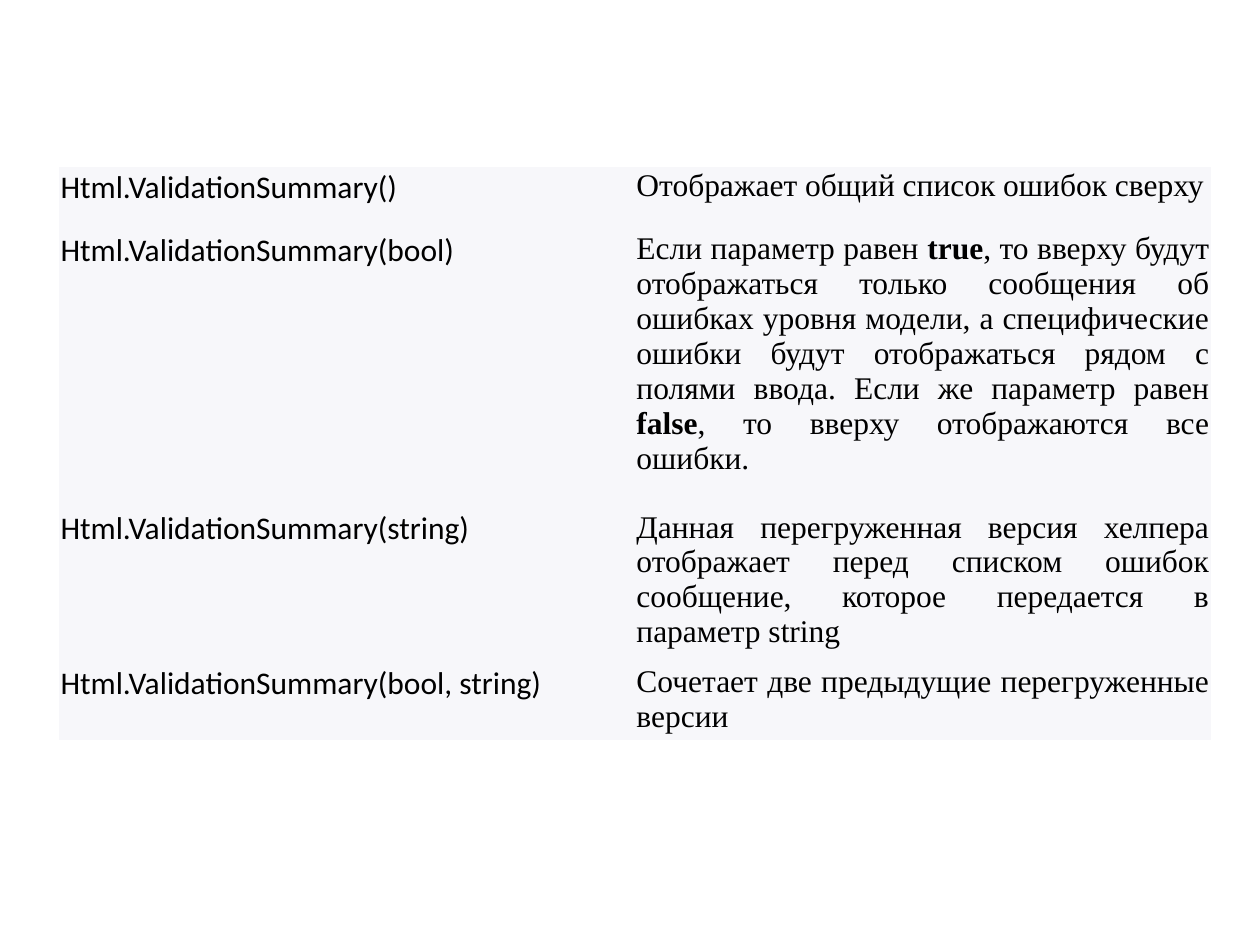
from pptx import Presentation
from pptx.dml.color import RGBColor
from pptx.enum.text import PP_ALIGN
from pptx.oxml.ns import qn
from pptx.util import Cm, Pt

LEFT, JUSTIFY = PP_ALIGN.LEFT, PP_ALIGN.JUSTIFY
NO_STYLE_NO_GRID = "{2D5ABB26-0587-4C30-8999-92F81FD0307C}"
CELL_MARGIN = Cm(0.03)

OVERLOADS = [
    (1.27, "Html.ValidationSummary()",
     [("Отображает общий список ошибок сверху", False)]),
    (5.61, "Html.ValidationSummary(bool)",
     [("Если параметр равен ", False),
      ("true", True),
      (", то вверху будут отображаться только сообщения об ошибках уровня "
       "модели, а специфические ошибки будут отображаться рядом с полями "
       "ввода. Если же параметр равен ", False),
      ("false", True),
      (", то вверху отображаются все ошибки.", False)]),
    (3.12, "Html.ValidationSummary(string)",
     [("Данная перегруженная версия хелпера отображает перед списком ошибок "
       "сообщение, которое передается в параметр string", False)]),
    (1.55, "Html.ValidationSummary(bool, string)",
     [("Сочетает две предыдущие перегруженные версии", False)]),
]


def color(value):
    return RGBColor.from_string(value)


def fill_cell(cell, runs, font_name, alignment):
    cell.margin_left = cell.margin_right = CELL_MARGIN
    cell.margin_top = cell.margin_bottom = CELL_MARGIN
    cell.fill.solid()
    cell.fill.fore_color.rgb = color("F7F7FA")
    paragraph = cell.text_frame.paragraphs[0]
    paragraph.alignment = alignment
    for words, bold in runs:
        run = paragraph.add_run()
        run.text = words
        run.font.name = font_name
        run.font.size = Pt(18)
        run.font.bold = bold
        run.font.color.rgb = color("000000")


def add_overload_table(slide, left, top, width):
    height = sum(row_height for row_height, _, _ in OVERLOADS)
    table = slide.shapes.add_table(
        len(OVERLOADS), 2, Cm(left), Cm(top), Cm(width), Cm(height)).table
    table.first_row = table.horz_banding = False
    table._tbl.tblPr.find(qn("a:tableStyleId")).text = NO_STYLE_NO_GRID
    for column in table.columns:
        column.width = Cm(width / 2)
    for row, (row_height, signature, description) in zip(table.rows, OVERLOADS):
        row.height = Cm(row_height)
        signature_cell, description_cell = row.cells
        fill_cell(signature_cell, [(signature, False)], "Calibri", LEFT)
        fill_cell(description_cell, description, "Times New Roman", JUSTIFY)


def main():
    presentation = Presentation()
    presentation.slide_width = Cm(25.4)
    presentation.slide_height = Cm(19.05)
    slide = presentation.slides.add_slide(presentation.slide_layouts[6])
    add_overload_table(slide, 1.19, 3.37, 23.22)
    presentation.save("out.pptx")


if __name__ == "__main__":
    main()
